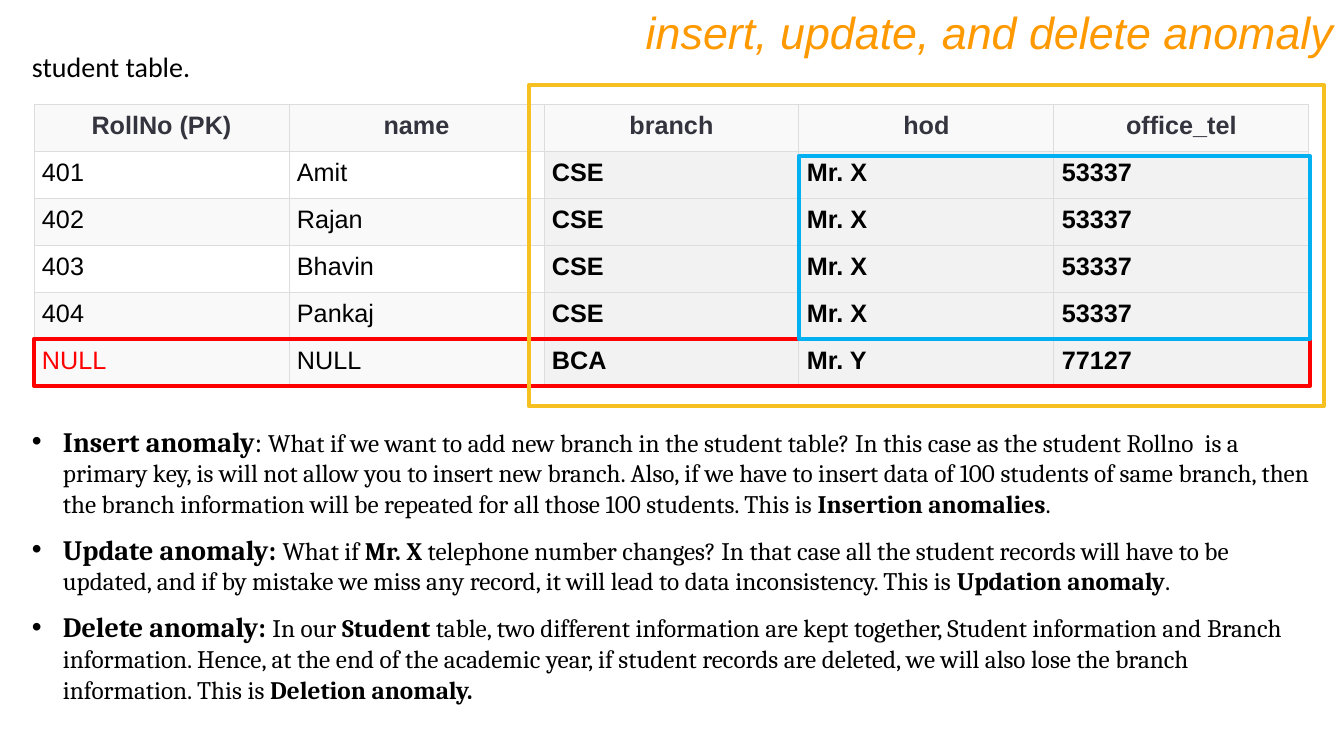
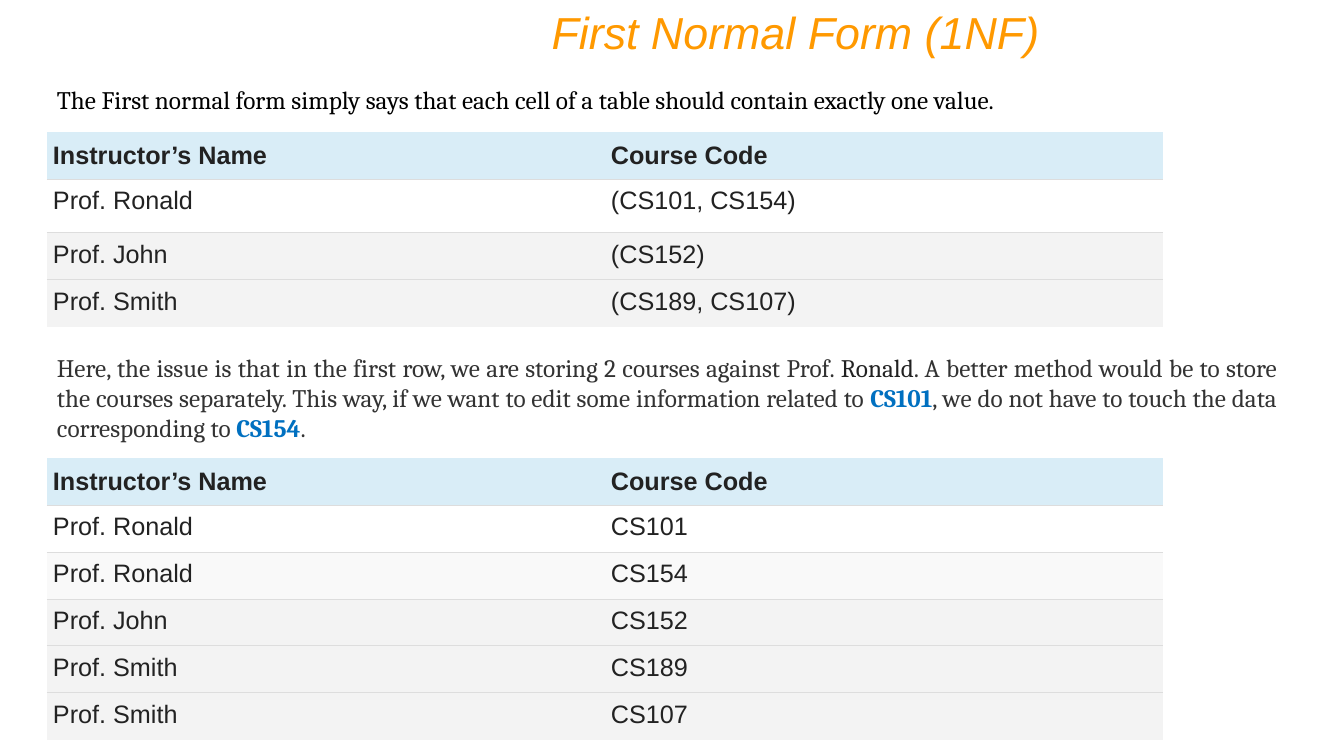
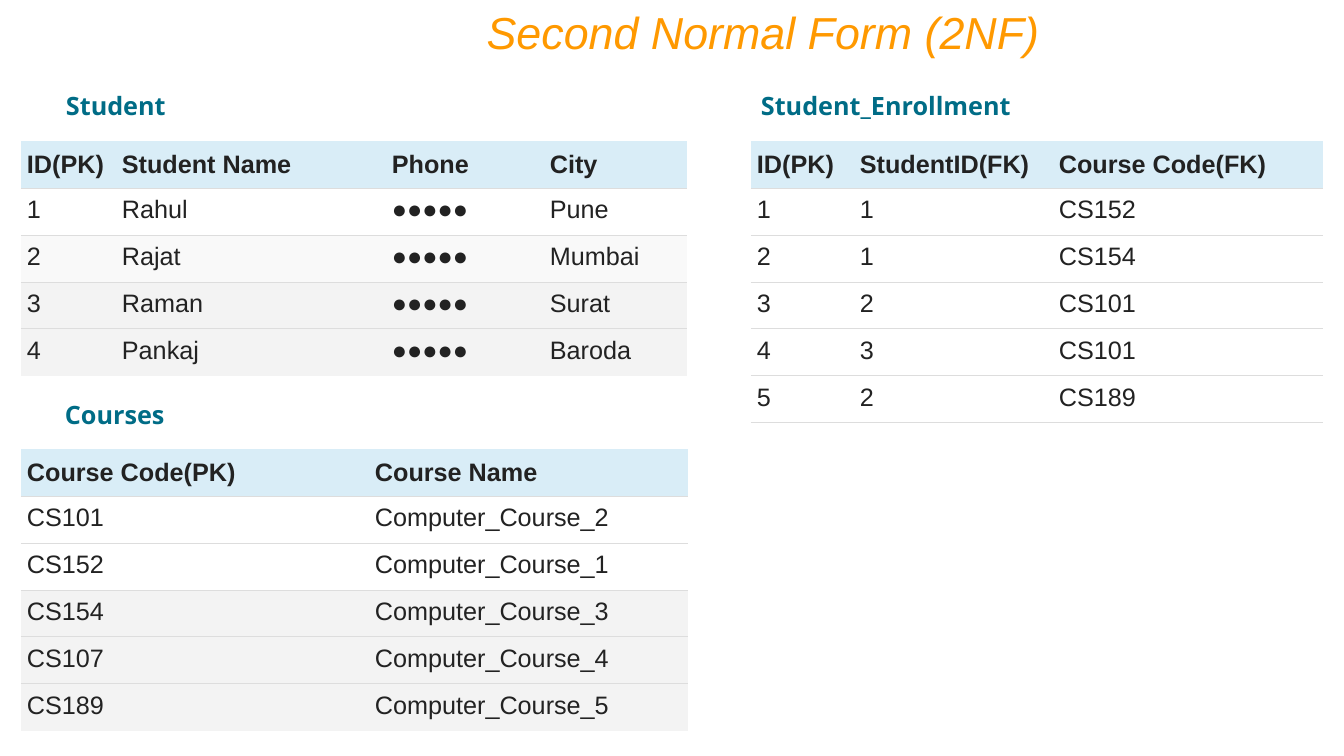
from dataclasses import dataclass

from lxml import etree
from pptx import Presentation
from pptx import util as u
from pptx.dml.color import RGBColor
from pptx.enum import shapes, text
from pptx.oxml import ns

SCALE = u.Inches(1) / 100.8
LEFT, CENTER = text.PP_ALIGN.LEFT, text.PP_ALIGN.CENTER
RIGHT, JUSTIFY = text.PP_ALIGN.RIGHT, text.PP_ALIGN.JUSTIFY
TOP, MIDDLE = text.MSO_ANCHOR.TOP, text.MSO_ANCHOR.MIDDLE


def px(length):
    return u.Emu(round(length * SCALE))


def assign(target, values):
    for name, value in values.items():
        setattr(target, name, value)


@dataclass(frozen=True)
class Theme:
    orange: str = "FF9900"
    black: str = "000000"
    slate: str = "34343E"
    ink: str = "222222"
    soft: str = "333333"
    link: str = "0070C0"
    teal: str = "006C86"
    red: str = "FF0000"
    sky: str = "00B0F0"
    gold: str = "F6C120"
    rule: str = "DDDDDD"
    header: str = "D9EDF7"
    white: str = "FFFFFF"
    pale: str = "F9F9F9"
    grey: str = "F3F3F3"
    key: str = "F2F2F2"
    title_size: int = 32
    lead_size: int = 20
    body_size: int = 18
    sans: str = "Arial"
    serif: str = "Cambria"
    plain: str = "Calibri"
    label: str = "Open Sans"


class Deck:
    """Hold the style and the current slide, and draw each kind of element."""

    def __init__(self, theme):
        self.theme = theme
        self.show = Presentation()
        assign(self.show, {"slide_width": px(1344), "slide_height": px(756)})

    def style(self, face, color, size=None, **extra):
        return {"name": face, "color": color, "size": size or self.theme.body_size, **extra}

    def new_slide(self, heading, left, width):
        self.slide = self.show.slides.add_slide(self.show.slide_layouts[5])
        title = self.slide.shapes.title
        assign(title, {"left": px(left), "top": px(0), "width": px(width), "height": px(65)})
        t = self.theme
        self.fill_frame(title.text_frame, [[heading]],
                        self.style(t.sans, t.orange, t.title_size, italic=True), RIGHT)

    def fill_frame(self, frame, paragraphs, base, align=LEFT, bullets=False):
        assign(frame, {"word_wrap": True, "auto_size": text.MSO_AUTO_SIZE.NONE,
                       "vertical_anchor": TOP,
                       "margin_left": px(10), "margin_right": px(10),
                       "margin_top": px(5), "margin_bottom": px(5)})
        for index, runs in enumerate(paragraphs):
            paragraph = frame.add_paragraph() if index else frame.paragraphs[0]
            if bullets:
                self.bullet(paragraph)
            if index:
                paragraph.space_before = u.Pt(10)
            self.fill_paragraph(paragraph, runs, base, align)

    def fill_paragraph(self, paragraph, runs, base, align):
        paragraph.alignment = align
        for item in runs:
            words, changes = (item, {}) if isinstance(item, str) else item
            run = paragraph.add_run()
            run.text = words
            values = {**base, **changes}
            run.font.color.rgb = RGBColor.from_string(values.pop("color"))
            values["size"] = u.Pt(values["size"])
            assign(run.font, values)

    def bullet(self, paragraph):
        props = paragraph._p.get_or_add_pPr()
        props.set("marL", str(px(31)))
        props.set("indent", str(-px(31)))
        tint = etree.SubElement(props, ns.qn("a:buClr"))
        etree.SubElement(tint, ns.qn("a:srgbClr"), val=self.theme.black)
        etree.SubElement(props, ns.qn("a:buFont"), typeface=self.theme.sans)
        etree.SubElement(props, ns.qn("a:buChar"), char="•")

    def textbox(self, box, runs, base, align=LEFT):
        holder = self.slide.shapes.add_textbox(*map(px, box))
        self.fill_frame(holder.text_frame, [runs], base, align)

    def rectangle(self, box):
        shape = self.slide.shapes.add_shape(shapes.MSO_SHAPE.RECTANGLE, *map(px, box))
        shape.shadow.inherit = False
        return shape

    def panel(self, box, paragraphs, base):
        panel = self.rectangle(box)
        panel.fill.solid()
        panel.fill.fore_color.rgb = RGBColor.from_string(self.theme.white)
        panel.line.fill.background()
        self.fill_frame(panel.text_frame, paragraphs, base, bullets=True)

    def outline(self, box, color):
        outline = self.rectangle(box)
        outline.fill.background()
        outline.line.color.rgb = RGBColor.from_string(color)
        outline.line.width = u.Pt(3)

    def borders(self, cell, sides):
        props = cell._tc.get_or_add_tcPr()
        for side in "LRTB":
            line = etree.SubElement(props, ns.qn(f"a:ln{side}"), w=str(u.Pt(0.75)))
            if side in sides:
                solid = etree.SubElement(line, ns.qn("a:solidFill"))
                etree.SubElement(solid, ns.qn("a:srgbClr"), val=self.theme.rule)
            else:
                etree.SubElement(line, ns.qn("a:noFill"))

    def cell(self, cell, words, fill, style, sides, align, anchor, margin):
        self.borders(cell, sides)
        cell.fill.solid()
        cell.fill.fore_color.rgb = RGBColor.from_string(fill)
        assign(cell, {"margin_left": px(margin), "margin_right": px(margin),
                      "margin_top": px(8), "margin_bottom": px(8),
                      "vertical_anchor": anchor})
        self.fill_paragraph(cell.text_frame.paragraphs[0], [words], style, align)

    def grid(self, left, top, widths, heights, rows):
        frame = self.slide.shapes.add_table(len(rows), len(widths), px(left), px(top),
                                            px(sum(widths)), px(sum(heights)))
        table = frame.table
        assign(table, {"first_row": False, "horz_banding": False})
        for column, width in zip(table.columns, widths):
            column.width = px(width)
        for row, height in zip(table.rows, heights):
            row.height = px(height)
        return table

    def striped_table(self, left, top, widths, rows, shades, closed=False, heights=None):
        table = self.grid(left, top, widths, heights or [47] * len(rows), rows)
        t = self.theme
        last = len(rows) - 1
        for r, (row, fill) in enumerate(zip(rows, [t.header, *shades])):
            sides = "B" if r == 0 else "T" if r == last and not closed else "TB"
            style = self.style(t.sans, t.ink, bold=r == 0)
            for c, words in enumerate(row):
                self.cell(table.cell(r, c), words, fill, style, sides, LEFT,
                          TOP if r else MIDDLE, 6)

    def ruled_table(self, left, top, widths, rows, shades, key_column, marked):
        table = self.grid(left, top, widths, [47] * len(rows), rows)
        t = self.theme
        for r, (row, shade) in enumerate(zip(rows, [t.pale, *shades])):
            for c, words in enumerate(row):
                key = r > 0 and c >= key_column
                color = t.red if (r, c) == marked else t.black if r else t.slate
                style = self.style(t.sans, color, bold=key or r == 0)
                self.cell(table.cell(r, c), words, t.key if key else shade, style,
                          "LRTB", LEFT if r else CENTER, TOP, 8)


def anomaly_slide(deck):
    t = deck.theme
    bold, lead = {"bold": True}, {"bold": True, "size": t.lead_size}
    deck.new_slide("insert, update, and delete anomaly", 0, 1344)
    deck.panel((22, 419, 1299, 291), [
        [("Insert anomaly", lead), (": ", {"size": t.lead_size}),
         "What if we want to add new branch in the student table? In this case as the "
         "student Rollno  is a primary key, is will not allow you to insert new branch. "
         "Also, if we have to insert data of 100 students of same branch, then the branch "
         "information will be repeated for all those 100 students. This is ",
         ("Insertion anomalies", bold), "."],
        [("Update anomaly: ", lead), "What if ", ("Mr. X ", bold),
         "telephone number changes? In that case all the student records will have to be "
         "updated, and if by mistake we miss any record, it will lead to data "
         "inconsistency. This is ", ("Updation anomaly", bold), "."],
        [("Delete anomaly: ", lead), "In our ", ("Student", bold),
         " table, two different information are kept together, Student information and "
         "Branch information. Hence, at the end of the academic year, if student records "
         "are deleted, we will also lose the branch information. This is ",
         ("Deletion anomaly.", bold)],
    ], deck.style(t.serif, t.black))
    students = [("401", "Amit"), ("402", "Rajan"), ("403", "Bhavin"), ("404", "Pankaj")]
    deck.ruled_table(34, 104, [255] * 5, [
        ("RollNo (PK)", "name", "branch", "hod", "office_tel"),
        *[(*student, "CSE", "Mr. X", "53337") for student in students],
        ("NULL", "NULL", "BCA", "Mr. Y", "77127"),
    ], [t.white, t.pale, t.white, t.pale, t.pale], key_column=2, marked=(5, 0))
    deck.outline((34, 339, 1276, 47), t.red)
    deck.outline((799, 156, 511, 183), t.sky)
    deck.outline((529, 85, 795, 321), t.gold)
    deck.textbox((22, 44, 324, 44), ["student table."],
                 deck.style(t.plain, t.black, t.lead_size))


def first_form_slide(deck):
    t = deck.theme
    code = {"color": t.link, "bold": True}
    header = ("Instructor’s Name", "Course Code")
    deck.new_slide("First Normal Form (1NF)", 294, 756)
    deck.textbox((47, 79, 1240, 40),
                 ["The First normal form simply says that each cell of a table should "
                  "contain exactly one value."], deck.style(t.serif, t.black), JUSTIFY)
    deck.striped_table(47, 132, [558] * 2, [
        header, ("Prof. Ronald", "(CS101, CS154)"), ("Prof. John", "(CS152)"),
        ("Prof. Smith", "(CS189, CS107)"),
    ], [t.white, t.grey, t.grey], heights=[47, 54, 47, 47])
    deck.textbox((47, 347, 1240, 102), [
        "Here, the issue is that in the first row, we are storing 2 courses against Prof. ",
        ("Ronald", {"color": t.ink}),
        ". A better method would be to store the courses separately. This way, if we want "
        "to edit some information related to ", ("CS101", code),
        ", we do not have to touch the data corresponding to ", ("CS154", code), ".",
    ], deck.style(t.serif, t.soft), JUSTIFY)
    deck.striped_table(47, 458, [558] * 2, [
        header, ("Prof. Ronald", "CS101"), ("Prof. Ronald", "CS154"),
        ("Prof. John", "CS152"), ("Prof. Smith", "CS189"), ("Prof. Smith", "CS107"),
    ], [t.white, t.pale, t.grey, t.grey, t.grey])


def second_form_slide(deck):
    t = deck.theme
    phone = "●●●●●"
    deck.new_slide("Second Normal Form (2NF)", 294, 756)
    for name, left, top in [("Student", 56, 85), ("Courses", 55, 394),
                            ("Student_Enrollment", 751, 85)]:
        deck.textbox((left, top, 332, 40), [name], deck.style(t.label, t.teal, bold=True))
    deck.striped_table(21, 141, [95, 270, 158, 143], [
        ("ID(PK)", "Student Name", "Phone", "City"),
        ("1", "Rahul", phone, "Pune"), ("2", "Rajat", phone, "Mumbai"),
        ("3", "Raman", phone, "Surat"), ("4", "Pankaj", phone, "Baroda"),
    ], [t.white, t.pale, t.grey, t.grey])
    deck.striped_table(21, 449, [348, 319], [
        ("Course Code(PK)", "Course Name"),
        ("CS101", "Computer_Course_2"), ("CS152", "Computer_Course_1"),
        ("CS154", "Computer_Course_3"), ("CS107", "Computer_Course_4"),
        ("CS189", "Computer_Course_5"),
    ], [t.white, t.white, t.grey, t.grey, t.grey])
    deck.striped_table(751, 141, [103, 199, 270], [
        ("ID(PK)", "StudentID(FK)", "Course Code(FK)"),
        ("1", "1", "CS152"), ("2", "1", "CS154"), ("3", "2", "CS101"),
        ("4", "3", "CS101"), ("5", "2", "CS189"),
    ], [t.white] * 5, closed=True)


def main():
    deck = Deck(Theme())
    for build in (anomaly_slide, first_form_slide, second_form_slide):
        build(deck)
    deck.show.save("out.pptx")


if __name__ == "__main__":
    main()
